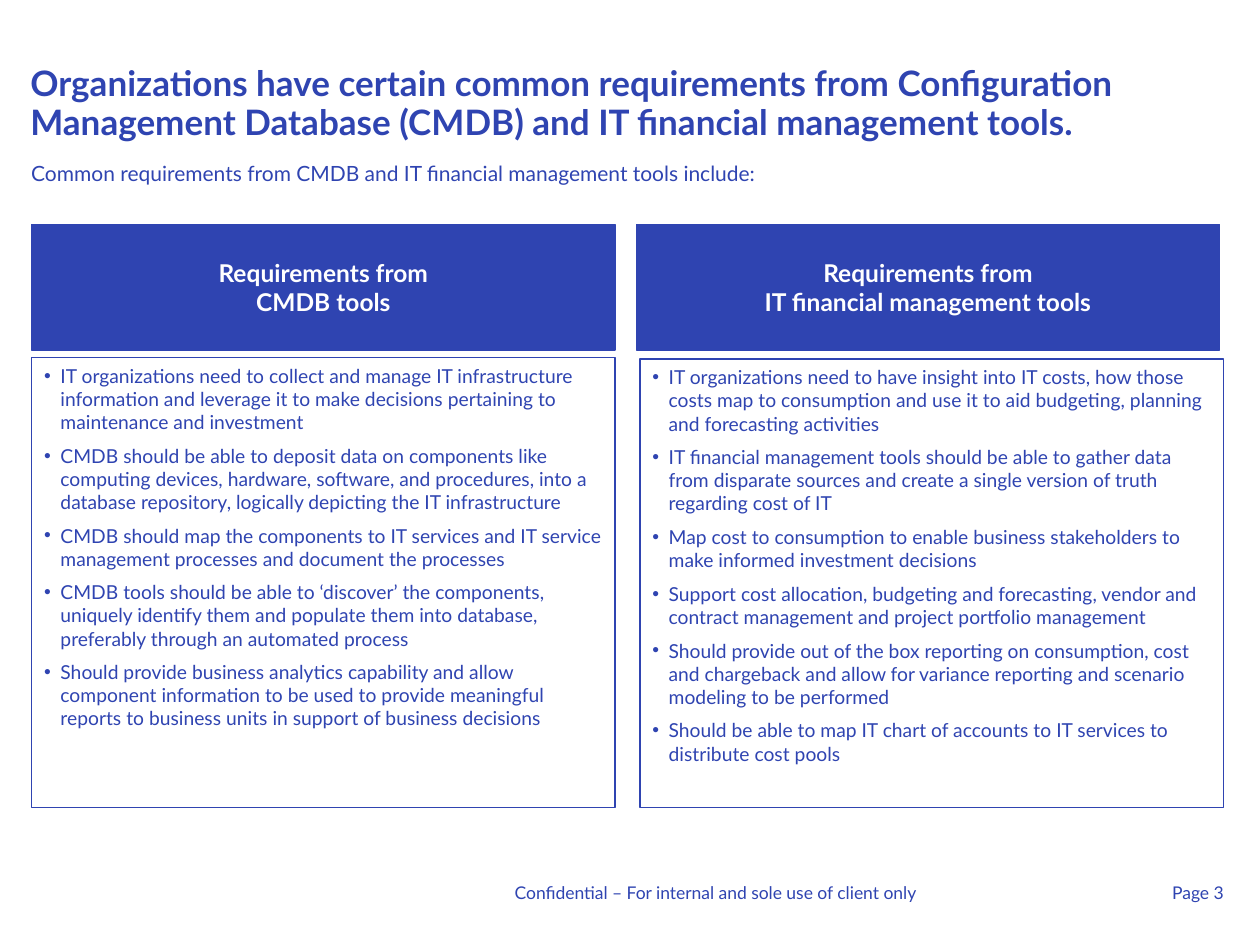
"""Build a slide comparing requirements from CMDB and IT financial management tools."""
from dataclasses import dataclass

from lxml import etree
from pptx import Presentation
from pptx.dml.color import RGBColor
from pptx.enum.shapes import MSO_SHAPE
from pptx.enum.text import MSO_ANCHOR, MSO_AUTO_SIZE, PP_ALIGN
from pptx.oxml.ns import qn
from pptx.util import Cm, Pt

RECTANGLE = MSO_SHAPE.RECTANGLE
TOP, MIDDLE = MSO_ANCHOR.TOP, MSO_ANCHOR.MIDDLE
LEFT, CENTER, RIGHT = PP_ALIGN.LEFT, PP_ALIGN.CENTER, PP_ALIGN.RIGHT
NO_AUTO_SIZE = MSO_AUTO_SIZE.NONE

COLORS = {"blue": "2F44B1", "white": "FFFFFF"}
FONT = "Lato"
TITLE_LAYOUT = 5
COLUMN_WIDTH = 11.76
HEADER_TOP, HEADER_HEIGHT = 4.52, 2.54
BODY_BOTTOM = 16.28
BULLET_INDENT = 0.33
DEFAULT_INSETS = (0.25, 0.13, 0.25, 0.13)


@dataclass(frozen=True)
class Style:
    size: float
    color: str = "blue"
    bold: bool = False
    align: PP_ALIGN = LEFT
    anchor: MSO_ANCHOR = TOP
    wrap: bool = True
    bulleted: bool = False
    line_spacing: float = 1.0
    insets: tuple[float, float, float, float] = DEFAULT_INSETS


@dataclass(frozen=True)
class Box:
    left: float
    top: float
    width: float
    height: float


@dataclass(frozen=True)
class Column:
    header_left: float
    body_left: float
    body_top: float
    header: tuple[str, ...]
    requirements: tuple[str, ...]


@dataclass(frozen=True)
class Label:
    box: Box
    text: str
    style: Style


TITLE = Label(
    Box(0.61, 1.32, 24.08, 1.57),
    "Organizations have certain common requirements from Configuration "
    "Management Database (CMDB) and IT financial management tools.",
    Style(20, bold=True, line_spacing=0.92, insets=(0, 0, 0, 0)),
)
LABELS = (
    Label(
        Box(0.38, 3.1, 24.16, 1.27),
        "Common requirements from CMDB and IT financial management tools include:",
        Style(12),
    ),
    Label(
        Box(8.92, 17.65, 9.55, 0.69),
        "Confidential – For internal and sole use of client only",
        Style(10, align=RIGHT, insets=(0, 0.13, 0, 0.13)),
    ),
    Label(
        Box(23.29, 17.65, 1.63, 0.69),
        "Page 3",
        Style(10, align=RIGHT, wrap=False, insets=(0, 0.13, 0.25, 0.13)),
    ),
)
HEADER_STYLE = Style(14, "white", bold=True, align=CENTER, anchor=MIDDLE, wrap=False)
BODY_STYLE = Style(11, bulleted=True)
COLUMNS = (
    Column(
        0.64, 0.64, 7.21,
        ("Requirements from\nCMDB tools",),
        (
            "IT organizations need to collect and manage IT infrastructure information "
            "and leverage it to make decisions pertaining to maintenance and investment",
            "CMDB should be able to deposit data on components like computing devices, "
            "hardware, software, and procedures, into a database repository, logically "
            "depicting the IT infrastructure",
            "CMDB should map the components to IT services and IT service management "
            "processes and document the processes",
            "CMDB tools should be able to ‘discover’ the components, uniquely identify "
            "them and populate them into database, preferably through an automated process",
            "Should provide business analytics capability and allow component information "
            "to be used to provide meaningful reports to business units in support of "
            "business decisions",
        ),
    ),
    Column(
        12.83, 12.9, 7.24,
        ("Requirements from", "IT financial management tools"),
        (
            "IT organizations need to have insight into IT costs, how those costs map to "
            "consumption and use it to aid budgeting, planning and forecasting activities",
            "IT financial management tools should be able to gather data from disparate "
            "sources and create a single version of truth regarding cost of IT",
            "Map cost to consumption to enable business stakeholders to make informed "
            "investment decisions",
            "Support cost allocation, budgeting and forecasting, vendor and contract "
            "management and project portfolio management",
            "Should provide out of the box reporting on consumption, cost and chargeback "
            "and allow for variance reporting and scenario modeling to be performed",
            "Should be able to map IT chart of accounts to IT services to distribute cost "
            "pools",
        ),
    ),
)


def rgb(name: str) -> RGBColor:
    return RGBColor.from_string(COLORS[name])


def lengths(box: Box) -> tuple[Cm, ...]:
    return tuple(Cm(value) for value in (box.left, box.top, box.width, box.height))


def add_bullet(paragraph) -> None:
    paragraph.space_after = Pt(6)
    properties = paragraph._p.get_or_add_pPr()
    properties.set("marL", str(Cm(BULLET_INDENT)))
    properties.set("indent", str(-Cm(BULLET_INDENT)))
    etree.SubElement(properties, qn("a:buFont")).set("typeface", "Arial")
    etree.SubElement(properties, qn("a:buChar")).set("char", "•")


def write_text(shape, texts: tuple[str, ...], style: Style) -> None:
    frame = shape.text_frame
    frame.auto_size = NO_AUTO_SIZE
    frame.word_wrap = style.wrap
    frame.vertical_anchor = style.anchor
    (frame.margin_left, frame.margin_top,
     frame.margin_right, frame.margin_bottom) = (Cm(inset) for inset in style.insets)
    for index, text in enumerate(texts):
        paragraph = frame.add_paragraph() if index else frame.paragraphs[0]
        paragraph.alignment = style.align
        paragraph.line_spacing = style.line_spacing
        if style.bulleted:
            add_bullet(paragraph)
        for line_index, line in enumerate(text.split("\n")):
            if line_index:
                paragraph.add_line_break()
            run = paragraph.add_run()
            run.text = line
            run.font.name = FONT
            run.font.size = Pt(style.size)
            run.font.bold = style.bold
            run.font.color.rgb = rgb(style.color)


def add_panel(slide, box: Box, texts: tuple[str, ...], style: Style, filled: bool) -> None:
    shape = slide.shapes.add_shape(RECTANGLE, *lengths(box))
    shape.shadow.inherit = False
    if filled:
        shape.fill.solid()
        shape.fill.fore_color.rgb = rgb("blue")
    else:
        shape.fill.background()
    shape.line.color.rgb = rgb("blue")
    shape.line.width = Pt(0.75)
    write_text(shape, texts, style)


def add_column(slide, column: Column) -> None:
    header = Box(column.header_left, HEADER_TOP, COLUMN_WIDTH, HEADER_HEIGHT)
    body = Box(column.body_left, column.body_top, COLUMN_WIDTH, BODY_BOTTOM - column.body_top)
    add_panel(slide, header, column.header, HEADER_STYLE, filled=True)
    add_panel(slide, body, column.requirements, BODY_STYLE, filled=False)


def main() -> None:
    presentation = Presentation()
    presentation.slide_width, presentation.slide_height = Cm(25.4), Cm(19.05)
    slide = presentation.slides.add_slide(presentation.slide_layouts[TITLE_LAYOUT])
    title = slide.shapes.title
    title.left, title.top, title.width, title.height = lengths(TITLE.box)
    write_text(title, (TITLE.text,), TITLE.style)
    for label in LABELS:
        write_text(slide.shapes.add_textbox(*lengths(label.box)), (label.text,), label.style)
    for column in COLUMNS:
        add_column(slide, column)
    presentation.save("out.pptx")


if __name__ == "__main__":
    main()
